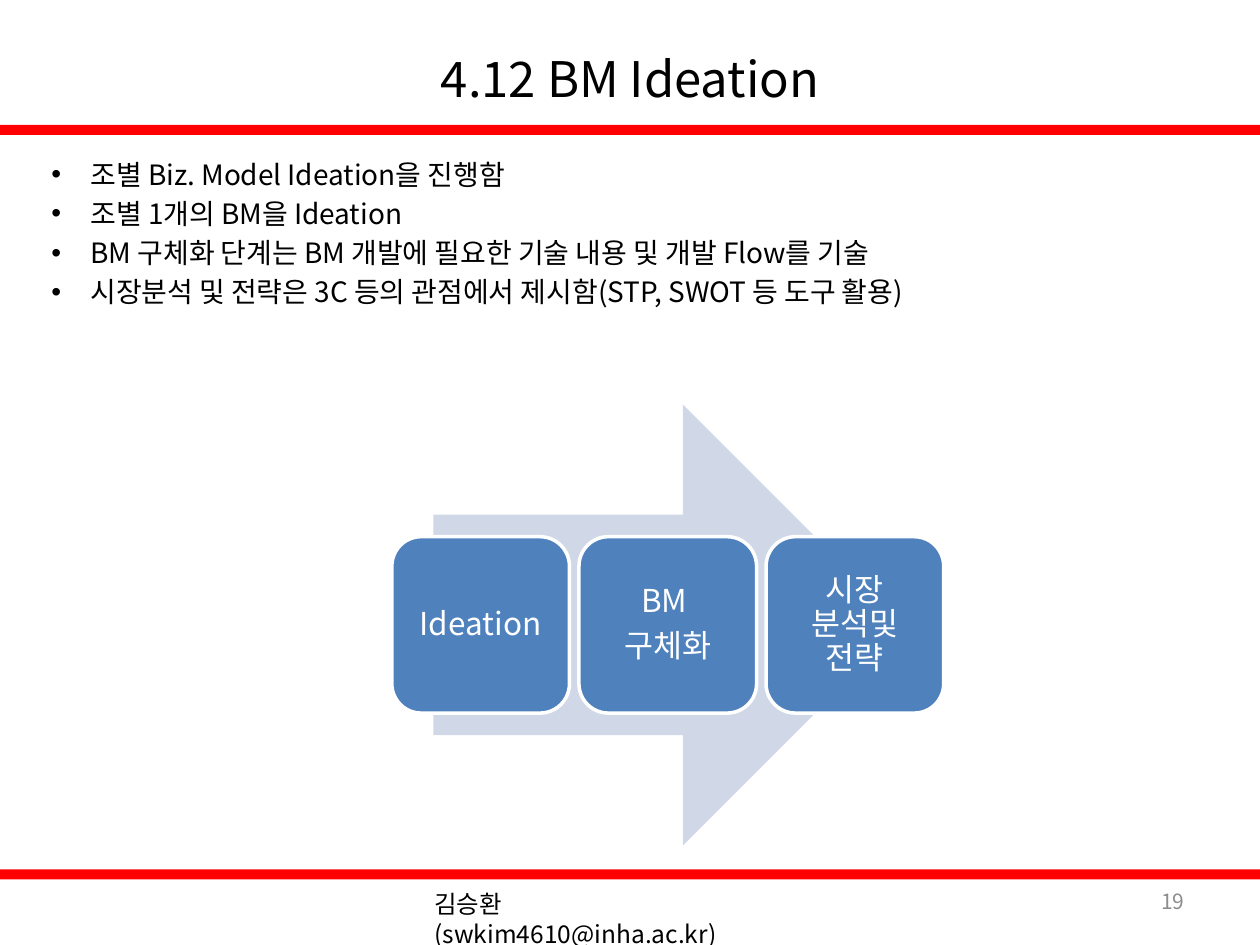
from dataclasses import dataclass

from lxml.etree import SubElement
from pptx import Presentation
from pptx.dml.color import RGBColor
from pptx.enum.shapes import MSO_SHAPE as Shape
from pptx.enum.text import MSO_ANCHOR as Anchor, MSO_AUTO_SIZE as AutoSize, PP_ALIGN as Align
from pptx.oxml.ns import qn
from pptx.util import Inches, Pt

WIDTH, HEIGHT = Inches(10), Inches(7.5)
FONT = "Noto Sans CJK KR"
COLORS = {
    "rule": "FF0000",
    "arrow": "D0D8E8",
    "step": "4F81BD",
    "white": "FFFFFF",
    "text": "000000",
    "number": "8C8C8C",
}
BULLETS = [
    "조별 Biz. Model Ideation을 진행함",
    "조별 1개의 BM을 Ideation",
    "BM 구체화 단계는 BM 개발에 필요한 기술 내용 및 개발 Flow를 기술",
    "시장분석 및 전략은 3C 등의 관점에서 제시함(STP, SWOT 등 도구 활용)",
]
STEPS = [["Ideation"], ["BM ", "구체화"], ["시장 분석및 전략"]]


@dataclass
class Box:
    """A rectangle in inches."""
    left: float
    top: float
    width: float
    height: float

    def emu(self) -> list:
        return [Inches(v) for v in (self.left, self.top, self.width, self.height)]


@dataclass
class TextStyle:
    size: float
    color: str = "text"
    align: Align = Align.LEFT
    anchor: Anchor = Anchor.TOP
    inset: float | None = None
    bullet: str = ""
    line_spacing: float | None = None
    before: float = 0
    after: float = 0


def rgb(name: str) -> RGBColor:
    return RGBColor.from_string(COLORS[name])


def set_all(target, values: dict) -> None:
    for name, value in values.items():
        setattr(target, name, value)


def add_bullet(paragraph, char: str, indent: float) -> None:
    properties = paragraph._p.get_or_add_pPr()
    properties.set("marL", str(Inches(indent)))
    properties.set("indent", str(-Inches(indent)))
    SubElement(properties, qn("a:buFont"), typeface="Arial")
    SubElement(properties, qn("a:buChar"), char=char)


def write(shape, lines: list, style: TextStyle) -> None:
    frame = shape.text_frame
    set_all(frame, {"word_wrap": True, "auto_size": AutoSize.NONE,
                    "vertical_anchor": style.anchor})
    if style.inset is not None:
        sides = ("left", "right", "top", "bottom")
        set_all(frame, {f"margin_{side}": Inches(style.inset) for side in sides})
    for index, line in enumerate(lines):
        paragraph = frame.add_paragraph() if index else frame.paragraphs[0]
        if style.bullet:
            add_bullet(paragraph, style.bullet, 0.31)
        set_all(paragraph, {
            "alignment": style.align,
            "line_spacing": style.line_spacing,
            "space_before": Pt(style.before if index else 0),
            "space_after": Pt(style.after),
        })
        run = paragraph.add_run()
        run.text = line
        set_all(run.font, {"size": Pt(style.size), "name": FONT})
        run.font.color.rgb = rgb(style.color)
        SubElement(run._r.get_or_add_rPr(), qn("a:ea"), typeface=FONT)


def add_text(slide, box: Box, lines: list, style: TextStyle) -> None:
    write(slide.shapes.add_textbox(*box.emu()), lines, style)


def add_filled(slide, kind: Shape, box: Box, fill: str, line: str = ""):
    shape = slide.shapes.add_shape(kind, *box.emu())
    shape.shadow.inherit = False
    shape.fill.solid()
    shape.fill.fore_color.rgb = rgb(fill)
    if line:
        shape.line.color.rgb = rgb(line)
        shape.line.width = Pt(2)
    else:
        shape.line.fill.background()
    return shape


def main() -> None:
    deck = Presentation()
    set_all(deck, {"slide_width": WIDTH, "slide_height": HEIGHT})
    slide = deck.slides.add_slide(deck.slide_layouts[5])

    for rule_top in (0.99, 6.9):
        add_filled(slide, Shape.RECTANGLE, Box(0, rule_top, 10, 0.08), "rule")

    title = slide.shapes.title
    set_all(title, dict(zip(("left", "top", "width", "height"),
                            Box(0.75, -0.19, 8.5, 1.61).emu())))
    write(title, ["4.12 BM Ideation"],
          TextStyle(28, align=Align.CENTER, anchor=Anchor.MIDDLE))

    add_text(slide, Box(7.17, 6.95, 2.33, 0.4), ["19"],
             TextStyle(12, "number", Align.RIGHT, Anchor.MIDDLE))
    add_text(slide, Box(3.35, 7.01, 2.8, 0.34), ["김승환(swkim4610@inha.ac.kr)"],
             TextStyle(14))
    add_text(slide, Box(0.31, 1.2, 9.37, 1.34), BULLETS,
             TextStyle(16, bullet="•", before=3.2))

    add_filled(slide, Shape.RIGHT_ARROW, Box(3.44, 3.21, 3.73, 3.5), "arrow")
    step_style = TextStyle(18, "white", Align.CENTER, Anchor.MIDDLE, inset=0.07,
                           line_spacing=0.9, after=6.3)
    step_pitch = 1.485
    for column, lines in enumerate(STEPS):
        box = Box(3.11 + column * step_pitch, 4.26, 1.41, 1.4)
        write(add_filled(slide, Shape.ROUNDED_RECTANGLE, box, "step", "white"),
              lines, step_style)

    deck.save("out.pptx")


if __name__ == "__main__":
    main()
